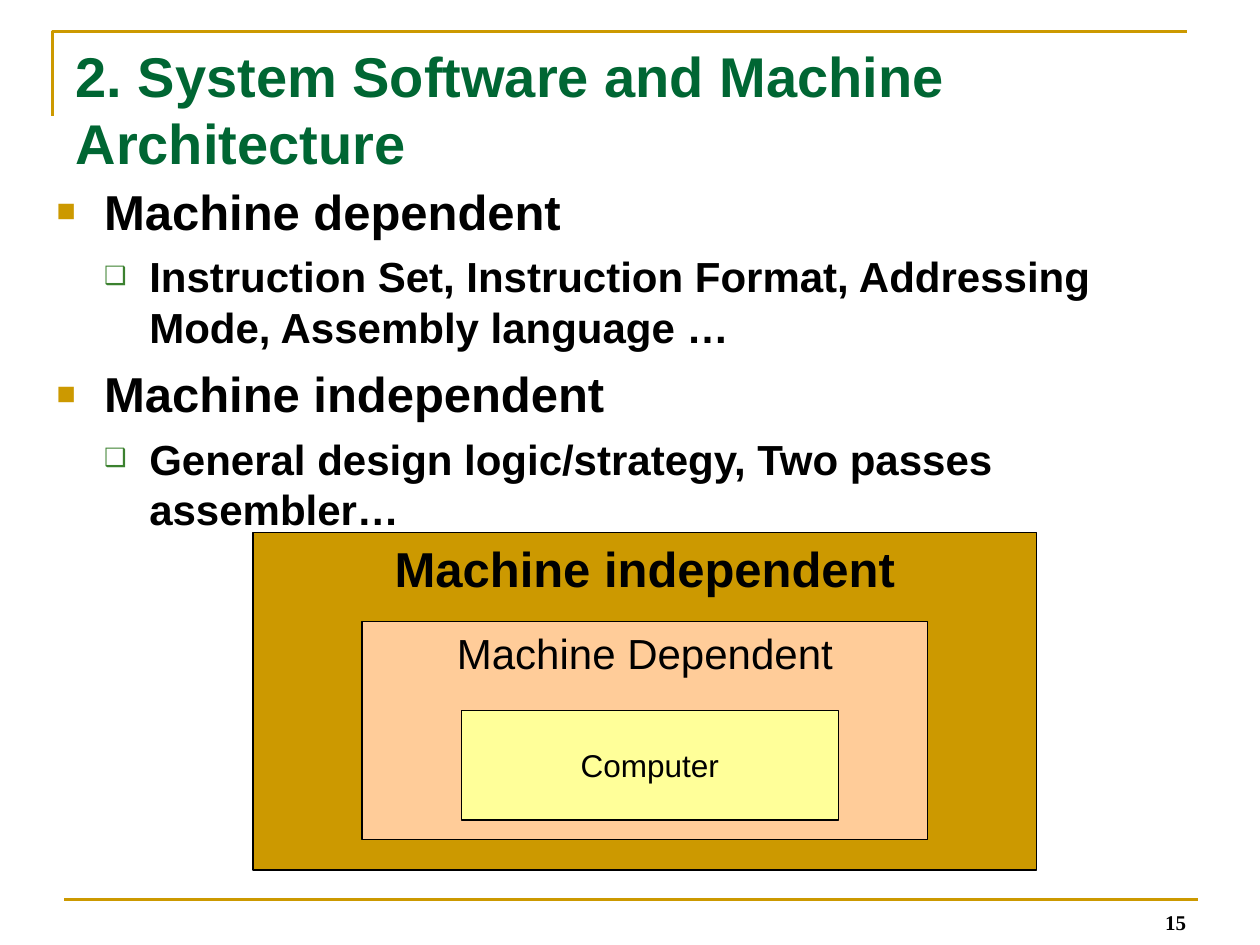
from lxml import etree
from pptx import Presentation
from pptx import util as u
from pptx.dml.color import RGBColor
from pptx.enum import shapes, text
from pptx.oxml.ns import qn

COLORS = {"gold": "CC9900", "green": "006633", "leaf": "3B812F",
          "peach": "FFCC99", "yellow": "FFFF99", "black": "000000"}
TITLE = "2. System Software and Machine Architecture"
PAGE_NUMBER = "15"
OUTLINE = [
    (0, "Machine dependent"),
    (1, "Instruction Set, Instruction Format, Addressing Mode, Assembly language …"),
    (0, "Machine independent"),
    (1, "General design logic/strategy, Two passes assembler…"),
]
# Per level: bullet, bullet colour, bullet percent, indent cm, hanging cm, size, space before
LEVELS = [("■", "gold", 65, 0.96, 0.96, 28, 7),
          ("❑", "leaf", 60, 1.87, 0.91, 24, 6)]
# Nested boxes: label, (left, top, width, height) in cm, fill, size, bold, anchor
LAYERS = [
    ("Machine independent", (5.1, 10.73, 15.8, 6.81), "gold", 28, True, text.MSO_ANCHOR.TOP),
    ("Machine Dependent", (7.3, 12.53, 11.4, 4.39), "peach", 24, False, text.MSO_ANCHOR.TOP),
    ("Computer", (9.3, 14.33, 7.6, 2.2), "yellow", 18, False, text.MSO_ANCHOR.MIDDLE),
]


def rgb(name):
    return RGBColor.from_string(COLORS[name])


def cm(*lengths):
    return [u.Cm(length) for length in lengths]


def style(para, size, bold=True, color="black", face="Arial"):
    font = para.font
    font.size, font.bold, font.name = u.Pt(size), bold, face
    font.color.rgb = rgb(color)


def set_line(shape, color, width):
    shape.line.color.rgb = rgb(color)
    shape.line.width = u.Pt(width)


def add_bullet(para, char, color, percent, indent, hanging):
    props = para._p.get_or_add_pPr()
    props.set("marL", str(u.Cm(indent)))
    props.set("indent", str(-u.Cm(hanging)))
    holder = etree.SubElement(props, qn("a:buClr"))
    etree.SubElement(holder, qn("a:srgbClr"), val=COLORS[color])
    etree.SubElement(props, qn("a:buSzPct"), val=str(percent * 1000))
    etree.SubElement(props, qn("a:buFont"), typeface="Arial")
    etree.SubElement(props, qn("a:buChar"), char=char)


def add_frame(slide):
    left, top, right, bottom = cm(1.06, 0.63, 23.92, 2.33)
    builder = slide.shapes.build_freeform(left, bottom)
    builder.add_line_segments([(left, top), (right, top)], close=False)
    corner = builder.convert_to_shape()
    corner.fill.background()
    corner.shadow.inherit = False
    rule = slide.shapes.add_connector(
        shapes.MSO_CONNECTOR.STRAIGHT, *cm(1.3, 18.13, 24.16, 18.13))
    etree.SubElement(rule._element.spPr, qn("a:effectLst"))
    for line in (corner, rule):
        set_line(line, "gold", 1.5)


def add_page_number(slide):
    frame = slide.shapes.add_textbox(*cm(18.24, 18.06, 5.92, 0.91)).text_frame
    frame.word_wrap = True
    frame.vertical_anchor = text.MSO_ANCHOR.BOTTOM
    para = frame.paragraphs[0]
    para.text = PAGE_NUMBER
    para.alignment = text.PP_ALIGN.RIGHT
    style(para, 12, face="Times New Roman")


def set_title(slide):
    title = slide.shapes.title
    title.left, title.top, title.width, title.height = cm(1.27, 0.71, 24.13, 2.21)
    frame = title.text_frame
    frame.auto_size = text.MSO_AUTO_SIZE.NONE
    frame.word_wrap = True
    frame.vertical_anchor = text.MSO_ANCHOR.TOP
    para = frame.paragraphs[0]
    para.text = TITLE
    para.alignment = text.PP_ALIGN.LEFT
    style(para, 32, color="green")


def add_outline(slide):
    frame = slide.shapes.add_textbox(*cm(0.89, 3.53, 23.8, 7.59)).text_frame
    frame.word_wrap = True
    for number, (level, wording) in enumerate(OUTLINE):
        *bullet, size, space = LEVELS[level]
        para = frame.add_paragraph() if number else frame.paragraphs[0]
        para.text = wording
        para.level = level
        add_bullet(para, *bullet)
        para.space_before = u.Pt(space if number else 0)
        style(para, size)


def add_layers(slide):
    for label, place, fill, size, bold, anchor in LAYERS:
        box = slide.shapes.add_shape(shapes.MSO_SHAPE.RECTANGLE, *cm(*place))
        box.shadow.inherit = False
        box.fill.solid()
        box.fill.fore_color.rgb = rgb(fill)
        set_line(box, "black", 0.75)
        frame = box.text_frame
        frame.word_wrap = False
        frame.vertical_anchor = anchor
        para = frame.paragraphs[0]
        para.text = label
        para.alignment = text.PP_ALIGN.CENTER
        style(para, size, bold)


def main():
    deck = Presentation()
    deck.slide_width, deck.slide_height = cm(25.4, 19.05)
    slide = deck.slides.add_slide(deck.slide_layouts[5])
    add_frame(slide)
    add_page_number(slide)
    set_title(slide)
    add_outline(slide)
    add_layers(slide)
    deck.save("out.pptx")


if __name__ == "__main__":
    main()
